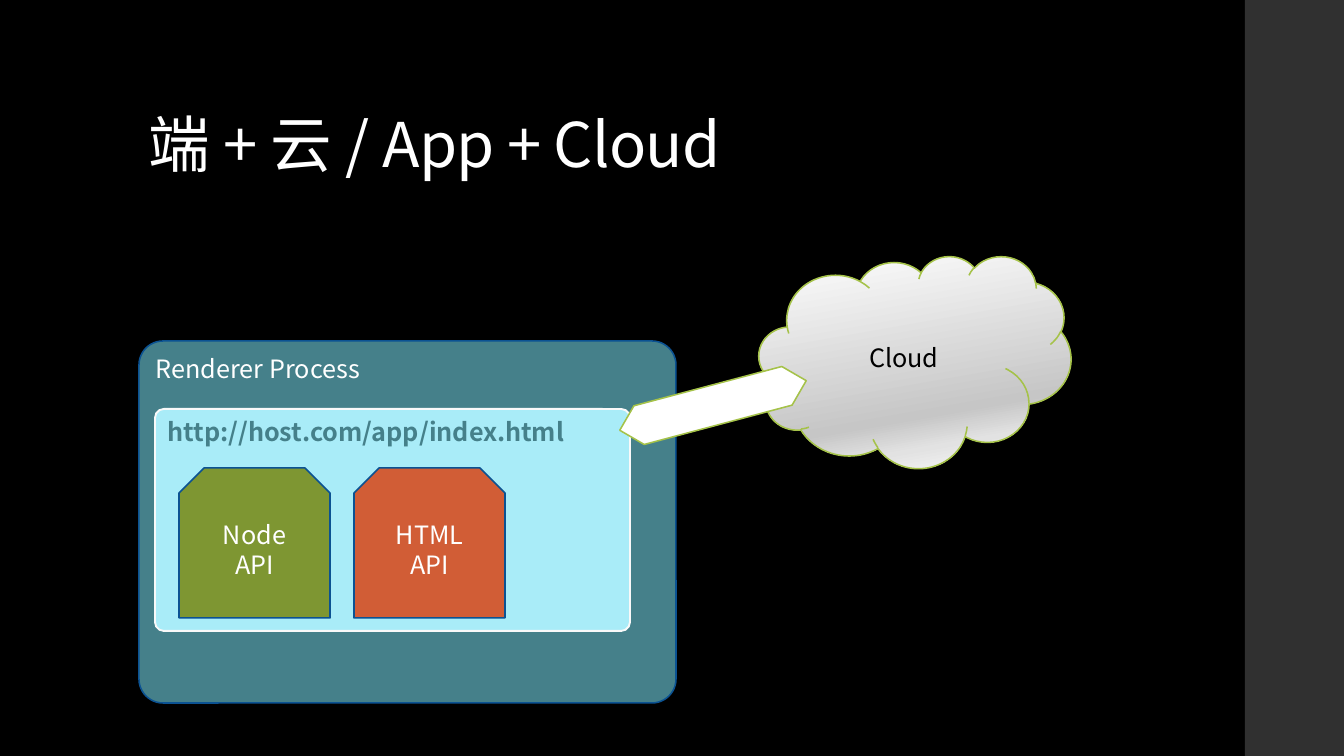
"""Build the app and cloud slide."""
from lxml import etree
from pptx import Presentation
from pptx.dml.color import RGBColor
from pptx.enum.shapes import MSO_SHAPE
from pptx.enum.text import MSO_ANCHOR, PP_ALIGN
from pptx.oxml.ns import qn
from pptx.util import Pt

RECT = MSO_SHAPE.RECTANGLE
ROUNDED = MSO_SHAPE.ROUNDED_RECTANGLE
SNIPPED = MSO_SHAPE.SNIP_2_SAME_RECTANGLE
CLOUD = MSO_SHAPE.CLOUD
ARROW = MSO_SHAPE.UP_DOWN_ARROW
TOP, MIDDLE, BOTTOM = MSO_ANCHOR.TOP, MSO_ANCHOR.MIDDLE, MSO_ANCHOR.BOTTOM
LEFT, CENTER = PP_ALIGN.LEFT, PP_ALIGN.CENTER

THEME = {
    "font": "Noto Sans CJK SC", "title_size": 44, "label_size": 18,
    "black": "000000", "white": "FFFFFF", "sidebar": "303030",
    "teal": "45808A", "navy": "0B5292", "page": "A9ECF8",
    "page_edge": "F9F9F9", "green": "7E9632", "orange": "D15D36",
    "lime": "A5C249",
    "cloud_stops": [(0, "FFFFFF"), (71, "C6C6C6"), (83, "E2E2E2"), (100, "FFFFFF")],
}
EMU_PER_PX = 914400 / 100.8


def add_block(kind, box, fill, edge=None, width=1.1):
    block = slide.shapes.add_shape(kind, *[round(v * EMU_PER_PX) for v in box])
    block.shadow.inherit = False
    block.fill.solid()
    block.fill.fore_color.rgb = RGBColor.from_string(THEME[fill])
    if edge:
        block.line.color.rgb = RGBColor.from_string(THEME[edge])
        block.line.width = Pt(width)
    else:
        block.line.fill.background()
    return block


def write(holder, lines, color, size="label_size", anchor=MIDDLE, align=CENTER, bold=False):
    frame = holder.text_frame
    frame.word_wrap = True
    frame.vertical_anchor = anchor
    for index, line in enumerate(lines):
        paragraph = frame.add_paragraph() if index else frame.paragraphs[0]
        paragraph.alignment = align
        run = paragraph.add_run()
        run.text = line
        run.font.name = THEME["font"]
        run.font.size = Pt(THEME[size])
        run.font.bold = bold
        run.font.color.rgb = RGBColor.from_string(THEME[color])
        east_asian = etree.SubElement(run.font._element, qn("a:ea"))
        east_asian.set("typeface", THEME["font"])


deck = Presentation()
deck.slide_width = round(1344 * EMU_PER_PX)
deck.slide_height = round(756 * EMU_PER_PX)
slide = deck.slides.add_slide(deck.slide_layouts[6])
slide.background.fill.solid()
slide.background.fill.fore_color.rgb = RGBColor.from_string(THEME["black"])

add_block(RECT, (1245, 0, 99, 756), "sidebar")

title = slide.shapes.add_textbox(*[round(v * EMU_PER_PX) for v in (139, 40, 1068, 146)])
write(title, ["端 + 云 / App + Cloud"], "white", "title_size", BOTTOM, LEFT)
heading = title.text_frame.paragraphs[0]
heading.line_spacing = 0.9
heading.runs[0].font._element.set("spc", "-50")

renderer = add_block(ROUNDED, (139, 341, 537, 362), "teal", "navy")
renderer.adjustments[0] = 0.066
write(renderer, ["Renderer Process"], "white", anchor=TOP, align=LEFT)

page = add_block(ROUNDED, (155, 409, 475, 222), "page", "page_edge", 1.35)
page.adjustments[0] = 0.04
write(page, ["http://host.com/app/index.html"], "teal", anchor=TOP, align=LEFT, bold=True)

apis = [(["Node API"], "green"), (["HTML", "API"], "orange")]
for column, (label, color) in enumerate(apis):
    api = add_block(SNIPPED, (179 + 175 * column, 468, 151, 150), color, "navy")
    write(api, label, "white")

cloud = add_block(CLOUD, (759, 256, 312, 212), "white", "lime")
cloud.fill.gradient()
cloud_gradient = cloud._element.spPr.find(qn("a:gradFill"))
stop_list = cloud_gradient.find(qn("a:gsLst"))
for stop in list(stop_list):
    stop_list.remove(stop)
for percent, color in THEME["cloud_stops"]:
    stop = etree.SubElement(stop_list, qn("a:gs"), pos=str(percent * 1000))
    etree.SubElement(stop, qn("a:srgbClr"), val=color)
direction = cloud_gradient.find(qn("a:lin"))
direction.set("ang", str(80 * 60000))
direction.set("scaled", "0")
write(cloud, ["Cloud"], "black")

link = add_block(ARROW, (693, 309, 40, 193), "white", "lime")
link.adjustments[0] = 0.5
link.adjustments[1] = 1.315
link.rotation = 75.1

deck.save("out.pptx")
